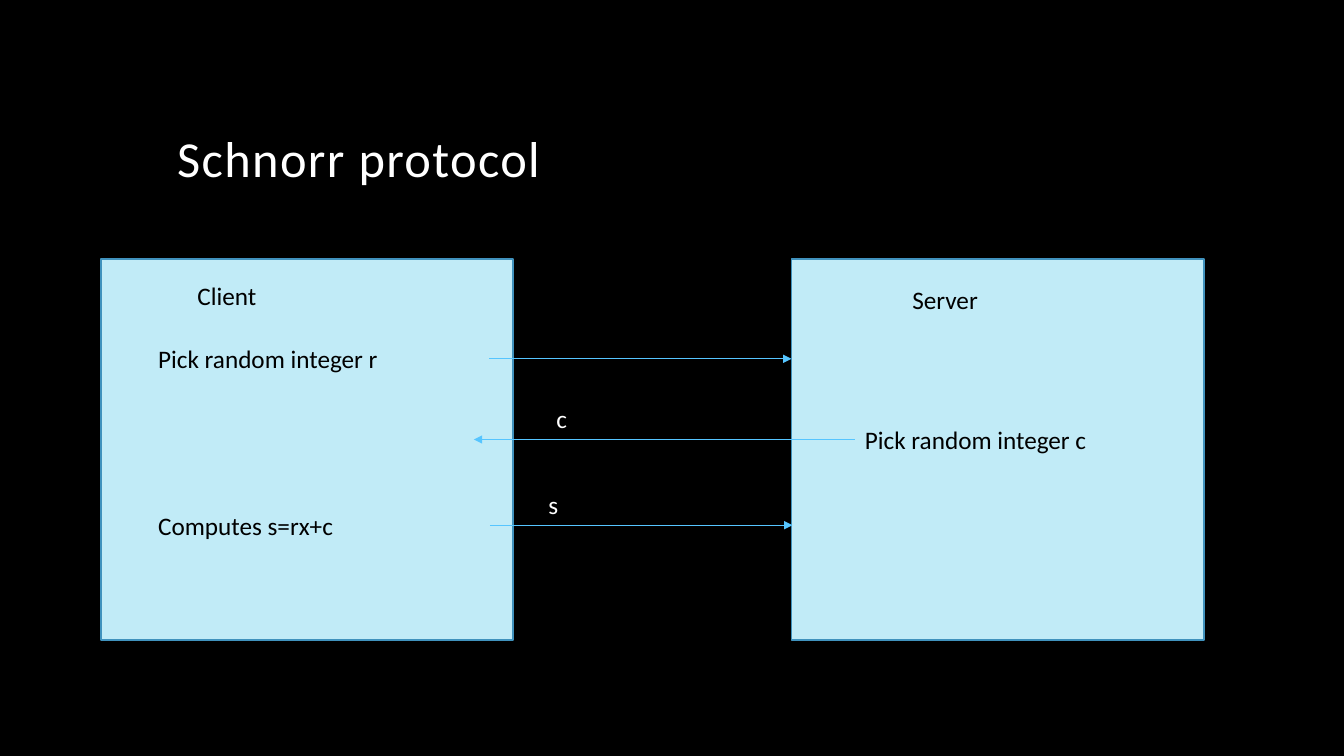
from pptx import Presentation
from pptx.dml.color import RGBColor
from pptx.enum.shapes import MSO_CONNECTOR, MSO_SHAPE
from pptx.enum.text import MSO_ANCHOR
from pptx.oxml.ns import qn
from pptx.util import Inches, Pt
from lxml.etree import SubElement


def color(value):
    return RGBColor.from_string(value)


def add_text(text, x, y, w, h=0.4, size=18, fill="000000",
             anchor=MSO_ANCHOR.TOP, line_spacing=1.0, spacing=0):
    sp = slide.shapes.add_textbox(Inches(x), Inches(y), Inches(w), Inches(h))
    tf = sp.text_frame
    tf.word_wrap = True
    tf.vertical_anchor = anchor
    p = tf.paragraphs[0]
    p.line_spacing = line_spacing
    r = p.add_run()
    r.text = text
    r.font.name = "Calibri"
    r.font.size = Pt(size)
    r.font.color.rgb = color(fill)
    if spacing:
        r.font._element.set("spc", str(spacing * 100))


prs = Presentation()
prs.slide_width = Inches(13.33)
prs.slide_height = Inches(7.5)
slide = prs.slides.add_slide(prs.slide_layouts[6])
slide.background.fill.solid()
slide.background.fill.fore_color.rgb = color("000000")

add_text("Schnorr protocol", 1.66, 0.42, 10, 1.5, size=36, fill="FFFFFF",
         anchor=MSO_ANCHOR.BOTTOM, line_spacing=0.9, spacing=1)

for x in (1, 7.85):
    sp = slide.shapes.add_shape(MSO_SHAPE.RECTANGLE, Inches(x), Inches(2.57),
                                Inches(4.09), Inches(3.78))
    sp.shadow.inherit = False
    sp.fill.solid()
    sp.fill.fore_color.rgb = color("C1EBF7")
    sp.line.color.rgb = color("4092BD")
    sp.line.width = Pt(1)

for text, x, y, w in [
    ("Client", 1.86, 2.73, 2.13),
    ("Server", 8.95, 2.77, 2.13),
    ("Pick random integer r", 1.47, 3.36, 3.39),
    ("Pick random integer c", 8.48, 4.16, 3.39),
    ("Computes s=rx+c", 1.47, 5.01, 3.39),
]:
    add_text(text, x, y, w)

for start, end, y in [(4.85, 7.85, 3.56), (4.86, 7.86, 5.21), (8.48, 4.7, 4.36)]:
    arrow = slide.shapes.add_connector(MSO_CONNECTOR.STRAIGHT, Inches(start), Inches(y),
                                       Inches(end), Inches(y))
    arrow.line.color.rgb = color("56C5FF")
    arrow.line.width = Pt(0.5)
    SubElement(arrow.line._get_or_add_ln(), qn("a:tailEnd"), type="triangle")
    SubElement(arrow._element.spPr, qn("a:effectLst"))

for text, x, y in [("c", 5.42, 3.95), ("s", 5.34, 4.81)]:
    add_text(text, x, y, 2.05, fill="FFFFFF")

prs.save("out.pptx")
